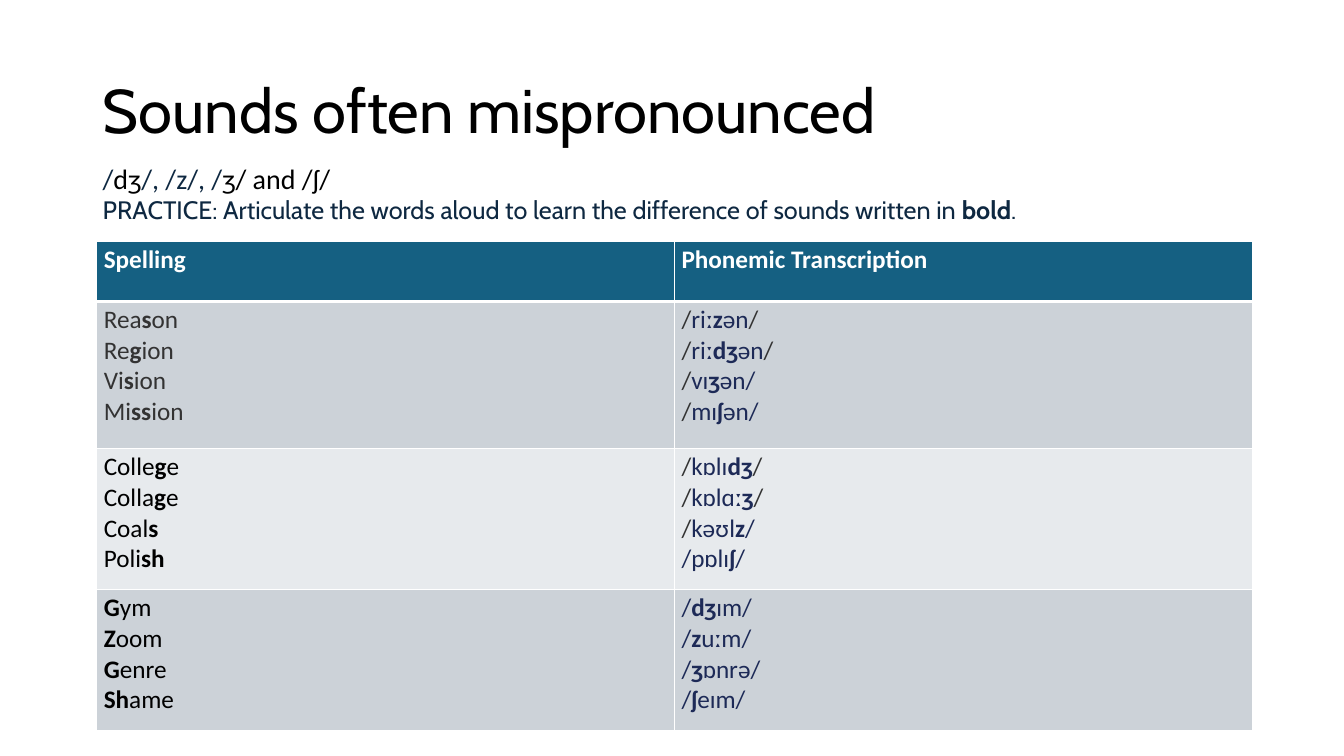
from lxml.etree import SubElement
from pptx import Presentation
from pptx.dml.color import RGBColor
from pptx.enum.text import MSO_ANCHOR, MSO_AUTO_SIZE, PP_ALIGN
from pptx.oxml.ns import qn
from pptx.util import Inches, Pt

WHITE = RGBColor(0xFF, 0xFF, 0xFF)
BLACK = RGBColor(0x00, 0x00, 0x00)
GREY = RGBColor(0x33, 0x33, 0x33)
NAVY = RGBColor(0x0E, 0x28, 0x41)
INDIGO = RGBColor(0x1D, 0x2A, 0x57)
HEADER_FILL = RGBColor(0x15, 0x60, 0x82)
BAND_FILLS = [RGBColor(0xCC, 0xD2, 0xD8), RGBColor(0xE7, 0xEA, 0xED)]

HEADINGS = ["Spelling", "Phonemic Transcription"]
# *...* is bold, ~...~ takes the accent colour
WORD_GROUPS = [
    (GREY,
     ["Rea*s*on", "Re*g*ion", "Vi*s*ion", "Mi*ss*ion"],
     ["~/~riː*z*ən~/~", "~/~riː*dʒ*ən~/~", "~/~vɪ*ʒ*ən/", "~/~mɪ*ʃ*ən/"]),
    (BLACK,
     ["Colle*g*e", "Colla*g*e", "Coal*s*", "Poli*sh*"],
     ["~/~kɒlɪ*dʒ*~/~", "~/~kɒlɑː*ʒ*~/~", "~/~kəʊl*z*/", "/pɒlɪ*ʃ*/"]),
    (BLACK,
     ["*G*ym", "*Z*oom", "*G*enre", "*Sh*ame"],
     ["/*dʒ*ɪm/", "/*z*uːm/", "/*ʒ*ɒnrə/", "/*ʃ*eɪm/"]),
]
ROW_HEIGHTS = [0.59, 1.46, 1.4, 1.4]


def write(paragraph, text, size=18, font="Calibri", color=BLACK, accent=GREY):
    """Add runs to the paragraph, reading the * and ~ marks in the text."""
    for bold_index, part in enumerate(text.split("*")):
        for accent_index, piece in enumerate(part.split("~")):
            if not piece:
                continue
            run = paragraph.add_run()
            run.text = piece
            run.font.size = Pt(size)
            run.font.name = font
            run.font.bold = bold_index % 2 == 1
            run.font.color.rgb = accent if accent_index % 2 else color


def write_lines(text_frame, lines, **text_format):
    for index, line in enumerate(lines):
        paragraph = text_frame.add_paragraph() if index else text_frame.paragraphs[0]
        write(paragraph, line, **text_format)


def set_borders(cell, top=0.75, bottom=0.75):
    properties = cell._tc.get_or_add_tcPr()
    for side, width in (("L", 0.75), ("R", 0.75), ("T", top), ("B", bottom)):
        line = SubElement(properties, qn(f"a:ln{side}"), w=str(Pt(width)))
        fill = SubElement(line, qn("a:solidFill"))
        SubElement(fill, qn("a:srgbClr"), val=str(WHITE))


def fill_cell(cell, lines, fill, top=0.75, bottom=0.75, **text_format):
    set_borders(cell, top, bottom)
    cell.fill.solid()
    cell.fill.fore_color.rgb = fill
    cell.margin_left = cell.margin_right = Inches(0.07)
    cell.margin_top = cell.margin_bottom = Inches(0.03)
    cell.vertical_anchor = MSO_ANCHOR.TOP
    write_lines(cell.text_frame, lines, **text_format)


def place_title(slide, left, top, width, height):
    title = slide.shapes.title
    title.left, title.top = Inches(left), Inches(top)
    title.width, title.height = Inches(width), Inches(height)
    title.text_frame.vertical_anchor = MSO_ANCHOR.MIDDLE
    paragraph = title.text_frame.paragraphs[0]
    paragraph.alignment = PP_ALIGN.LEFT
    paragraph.line_spacing = 0.9
    write(paragraph, "Sounds often mispronounced", size=44, font="Cabin")


def add_word_table(slide, left, top, width):
    frame = slide.shapes.add_table(
        len(ROW_HEIGHTS), len(HEADINGS), Inches(left), Inches(top),
        Inches(width), Inches(sum(ROW_HEIGHTS)))
    table = frame.table
    for row, height in zip(table.rows, ROW_HEIGHTS):
        row.height = Inches(height)
    for column, heading in enumerate(HEADINGS):
        fill_cell(table.cell(0, column), [f"*{heading}*"], HEADER_FILL,
                  bottom=2.04, color=WHITE)
    for row, (word_color, words, sounds) in enumerate(WORD_GROUPS, start=1):
        fill = BAND_FILLS[(row - 1) % 2]
        top_border = 2.04 if row == 1 else 0.75
        for column, (lines, color) in enumerate([(words, word_color), (sounds, INDIGO)]):
            fill_cell(table.cell(row, column), lines, fill, top=top_border, color=color)


def add_instructions(slide, left, top, width, height):
    box = slide.shapes.add_textbox(Inches(left), Inches(top), Inches(width), Inches(height))
    text_frame = box.text_frame
    text_frame.word_wrap = True
    text_frame.auto_size = MSO_AUTO_SIZE.NONE
    write(text_frame.paragraphs[0], "/~dʒ~/, /z/, /~ʒ/ and /ʃ/~",
          size=20, color=NAVY, accent=BLACK)
    write(text_frame.add_paragraph(),
          "PRACTICE: Articulate the words aloud to learn the difference "
          "of sounds written in *bold*.", font="Cabin", color=NAVY)


def main():
    presentation = Presentation()
    presentation.slide_width = Inches(13.33)
    presentation.slide_height = Inches(7.5)
    slide = presentation.slides.add_slide(presentation.slide_layouts[5])
    place_title(slide, 0.92, 0.4, 11.5, 1.45)
    add_word_table(slide, 0.96, 2.4, 11.46)
    add_instructions(slide, 0.92, 1.55, 11.5, 1.06)
    presentation.save("out.pptx")


if __name__ == "__main__":
    main()
